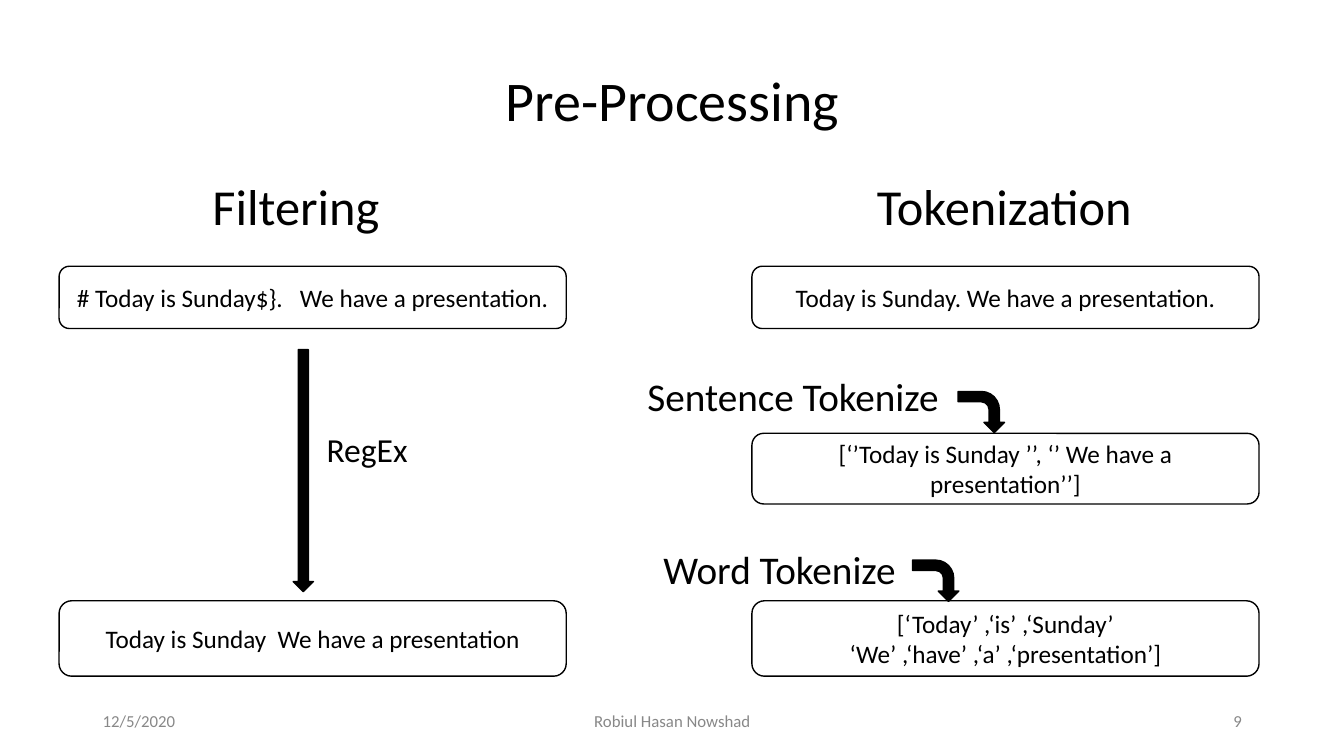
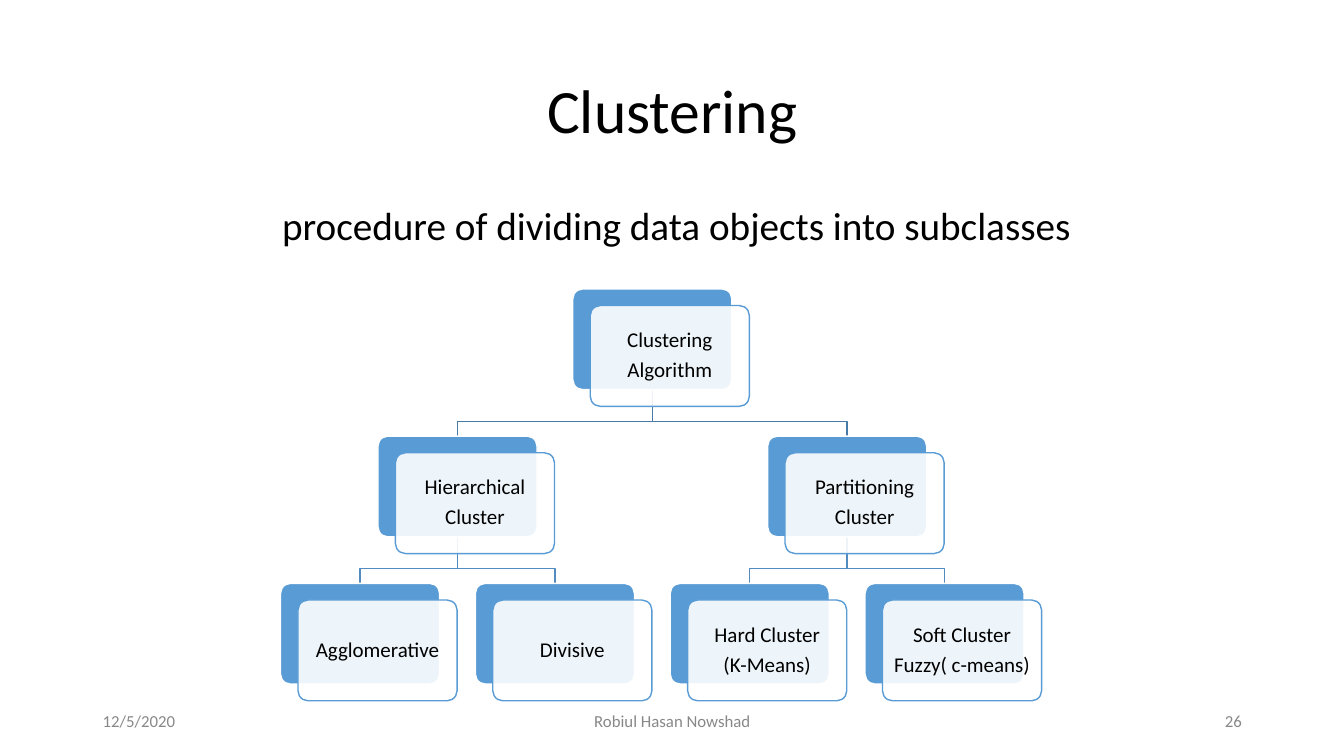
"""Build the pre-processing and clustering slides."""
import lxml.etree
import pptx
import pptx.dml.color
import pptx.enum.shapes
import pptx.enum.text
import pptx.oxml.ns
import pptx.util

Cm = pptx.util.Cm
Pt = pptx.util.Pt
RGBColor = pptx.dml.color.RGBColor
SHAPE = pptx.enum.shapes.MSO_SHAPE
ALIGN = pptx.enum.text.PP_ALIGN
ANCHOR = pptx.enum.text.MSO_ANCHOR

BLACK = RGBColor(0x00, 0x00, 0x00)
WHITE = RGBColor(0xFF, 0xFF, 0xFF)
GRAY = RGBColor(0x88, 0x88, 0x88)
BLUE = RGBColor(0x59, 0x9B, 0xD5)
UPPER_BRANCH = RGBColor(0x48, 0x7A, 0xA8)
LOWER_BRANCH = RGBColor(0x52, 0x8C, 0xBE)

FONT = "Calibri"
BOX_WIDTH = 12.78
CARD_WIDTH, CARD_HEIGHT = 4.01, 2.54
CARD_SHIFT_X, CARD_SHIFT_Y = 0.44, 0.42
TREE_LEFT, TREE_TOP = 7.07, 7.28
COLUMN_STEP, ROW_STEP = 4.91, 3.71
BRANCH_DROP = 0.8


class SlideBuilder:
    def __init__(self, deck):
        self.deck = deck
        self.shapes = None

    def start(self, title, top, size, number):
        page = self.deck.slides.add_slide(self.deck.slide_layouts[6])
        self.shapes = page.shapes
        self.text([title], 2.34, top, 29.21, 3.68, size, spacing=0.9, anchor=ANCHOR.MIDDLE)
        footers = [
            ("12/5/2020", 2.34, 7.62, ALIGN.LEFT),
            ("Robiul Hasan Nowshad", 11.23, 11.43, ALIGN.CENTER),
            (str(number), 23.93, 7.62, ALIGN.RIGHT),
        ]
        for words, left, width, align in footers:
            self.text([words], left, 17.65, width, 1.02, 12, align, GRAY, anchor=ANCHOR.MIDDLE)

    def set_text(self, shape, lines, size, align=ALIGN.CENTER, color=BLACK, spacing=1.0, gap=0):
        frame = shape.text_frame
        frame.word_wrap = True
        frame.text = "\n".join(lines)
        for index, para in enumerate(frame.paragraphs):
            para.alignment = align
            para.line_spacing = spacing
            para.space_before = Pt(gap if index else 0)
            for span in para.runs:
                span.font.name = FONT
                span.font.size = Pt(size)
                span.font.color.rgb = color

    def text(self, lines, left, top, width, height, size, align=ALIGN.CENTER,
             color=BLACK, spacing=1.0, anchor=ANCHOR.TOP):
        box = self.shapes.add_textbox(Cm(left), Cm(top), Cm(width), Cm(height))
        box.text_frame.vertical_anchor = anchor
        self.set_text(box, lines, size, align, color, spacing)

    def shape(self, kind, left, top, width, height, fill, line):
        shape = self.shapes.add_shape(kind, Cm(left), Cm(top), Cm(width), Cm(height))
        shape.shadow.inherit = False
        shape.fill.solid()
        shape.fill.fore_color.rgb = fill
        shape.line.color.rgb = line
        shape.line.width = Pt(1)
        return shape

    def sentence(self, lines, left, top, height):
        box = self.shape(SHAPE.ROUNDED_RECTANGLE, left, top, BOX_WIDTH, height, WHITE, BLACK)
        box.text_frame.vertical_anchor = ANCHOR.MIDDLE
        self.set_text(box, lines, 18)

    def arrow(self, kind, left, top, width, height, rotation=0):
        arrow = self.shape(kind, left, top, width, height, BLACK, BLACK)
        arrow.rotation = rotation

    def card(self, lines, left, top):
        back, front = [
            self.shape(SHAPE.ROUNDED_RECTANGLE, left + shift_x, top + shift_y,
                       CARD_WIDTH, CARD_HEIGHT, fill, line)
            for shift_x, shift_y, fill, line in [
                (0, 0, BLUE, WHITE),
                (CARD_SHIFT_X, CARD_SHIFT_Y, WHITE, BLUE),
            ]
        ]
        back.adjustments[0] = front.adjustments[0] = 0.1
        fill_color = front._element.spPr.find(".//" + pptx.oxml.ns.qn("a:srgbClr"))
        lxml.etree.SubElement(fill_color, pptx.oxml.ns.qn("a:alpha"), val="90000")
        frame = front.text_frame
        frame.margin_left = frame.margin_right = Cm(0.15)
        frame.margin_top = frame.margin_bottom = Cm(0.15)
        frame.vertical_anchor = ANCHOR.MIDDLE
        self.set_text(front, lines, 15, spacing=0.9, gap=5.2)

    def branch(self, parent, child, color):
        start_x, start_y = parent[0] + CARD_WIDTH / 2, parent[1] + CARD_HEIGHT
        end_x, end_y = child[0] + CARD_WIDTH / 2, child[1]
        bend_y = start_y + BRANCH_DROP
        builder = self.shapes.build_freeform(Cm(start_x), Cm(start_y))
        corners = [(start_x, bend_y), (end_x, bend_y), (end_x, end_y)]
        builder.add_line_segments([(Cm(x), Cm(y)) for x, y in corners], close=False)
        line = builder.convert_to_shape()
        line.shadow.inherit = False
        line.fill.background()
        line.line.color.rgb = color
        line.line.width = Pt(1)


def add_pre_processing(builder):
    builder.start("Pre-Processing", 0.76, 40, 9)
    for heading, left in [("Filtering", 0.08), ("Tokenization", 17.93)]:
        builder.text([heading], left, 4.45, 14.76, 1.75, 36, spacing=0.9)

    left, right = 1.49, 18.95
    first, second, third = (6.71, 1.57), (10.92, 1.78), (15.14, 1.9)
    sentences = [
        (["# Today is Sunday$}.   We have a presentation."], left, first),
        (["Today is Sunday  We have a presentation"], left, third),
        (["Today is Sunday. We have a presentation."], right, first),
        (["[‘’Today is Sunday ’’, ‘’ We have a presentation’’]"], right, second),
        (["[‘Today’ ,‘is’ ,‘Sunday’", "‘We’ ,‘have’ ,‘a’ ,‘presentation’]"], right, third),
    ]
    for lines, box_left, (top, height) in sentences:
        builder.sentence(lines, box_left, top, height)

    builder.arrow(SHAPE.DOWN_ARROW, 7.39, 8.81, 0.51, 6.1)
    builder.text(["RegEx"], 7.98, 10.69, 3.02, 1.27, 24, ALIGN.LEFT)
    steps = [
        ("Sentence Tokenize", 15.82, 9.17, 8.33, 24.21, 9.8),
        ("Word Tokenize", 16.28, 13.51, 6.73, 23.06, 14.05),
    ]
    for step, step_left, top, width, arrow_left, arrow_top in steps:
        builder.text([step], step_left, top, width, 1.63, 28, anchor=ANCHOR.MIDDLE)
        builder.arrow(SHAPE.BENT_ARROW, arrow_left, arrow_top, 1.04, 1.17, 90)


def add_clustering(builder):
    builder.start("Clustering", 1.02, 44, 26)
    builder.text(["procedure of dividing data objects into subclasses"],
                 2.44, 5.08, 29.21, 1.5, 28, spacing=0.9)
    root, hierarchical, partitioning = (1.5, 0), (0.5, 1), (2.5, 1)
    nodes = [
        (["Clustering", "Algorithm"], root, None),
        (["Hierarchical", "Cluster"], hierarchical, root),
        (["Partitioning", "Cluster"], partitioning, root),
        (["Agglomerative"], (0, 2), hierarchical),
        (["Divisive"], (1, 2), hierarchical),
        (["Hard Cluster", "(K-Means)"], (2, 2), partitioning),
        (["Soft Cluster", "Fuzzy( c-means)"], (3, 2), partitioning),
    ]

    def place(cell):
        return TREE_LEFT + cell[0] * COLUMN_STEP, TREE_TOP + cell[1] * ROW_STEP

    for _, cell, parent in nodes:
        if parent:
            color = UPPER_BRANCH if parent == root else LOWER_BRANCH
            builder.branch(place(parent), place(cell), color)
    for lines, cell, _ in nodes:
        builder.card(lines, *place(cell))


def main():
    deck = pptx.Presentation()
    deck.slide_width, deck.slide_height = Cm(33.87), Cm(19.05)
    builder = SlideBuilder(deck)
    add_pre_processing(builder)
    add_clustering(builder)
    deck.save("out.pptx")


if __name__ == "__main__":
    main()
